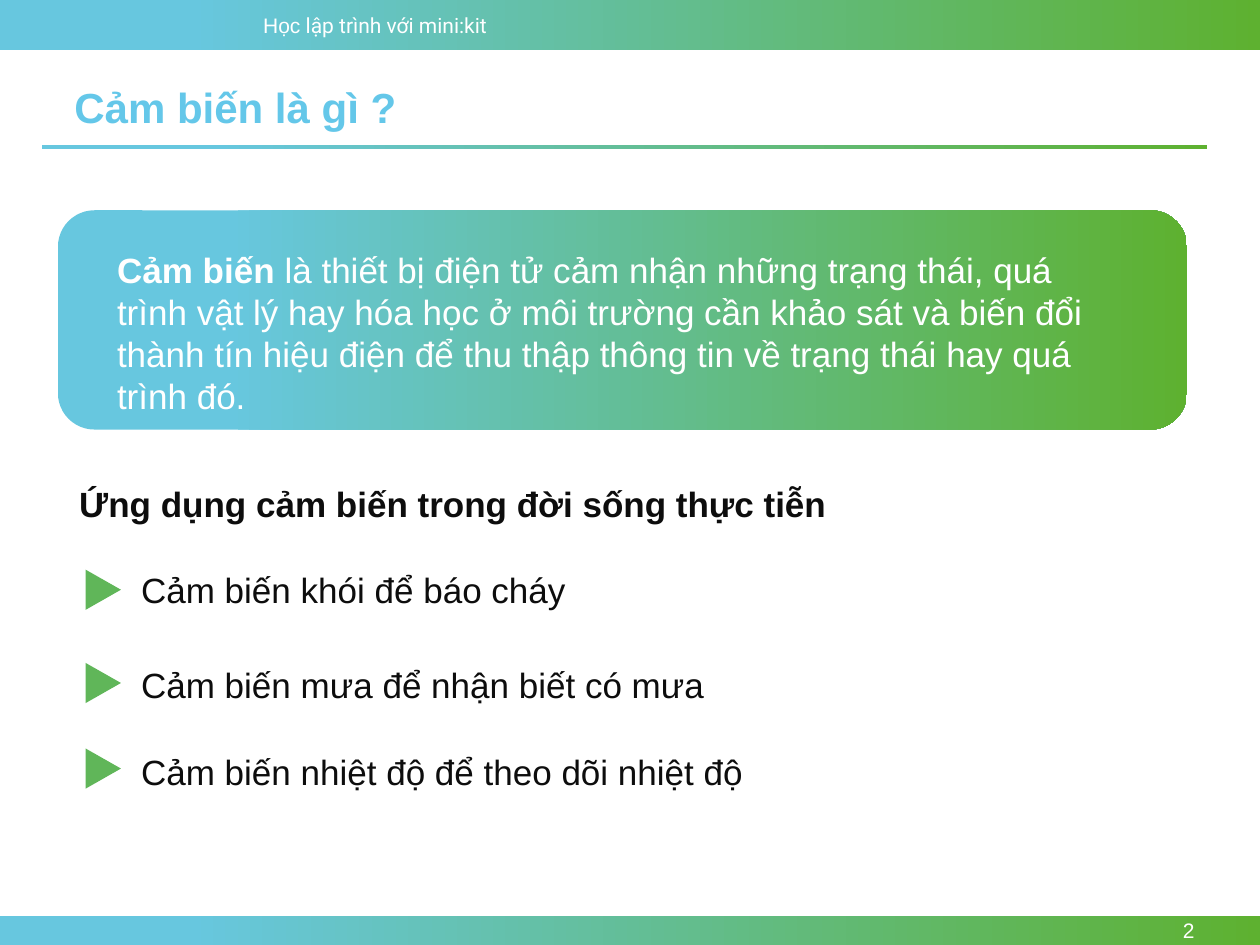
"""Build the sensor introduction slide."""
from typing import NamedTuple

from lxml import etree
from pptx import Presentation
from pptx.dml.color import RGBColor
from pptx.enum.shapes import MSO_SHAPE
from pptx.enum.text import MSO_ANCHOR, MSO_AUTO_SIZE, PP_ALIGN
from pptx.oxml.ns import qn
from pptx.util import Pt

RECT, ROUND, TRI = MSO_SHAPE.RECTANGLE, MSO_SHAPE.ROUNDED_RECTANGLE, MSO_SHAPE.ISOSCELES_TRIANGLE
TOP, MIDDLE = MSO_ANCHOR.TOP, MSO_ANCHOR.MIDDLE
LEFT, RIGHT = PP_ALIGN.LEFT, PP_ALIGN.RIGHT
FIXED = MSO_AUTO_SIZE.NONE
WHITE, BLACK, SKY, GREEN = "FFFFFF", "0D0D0D", "64C7E9", "60B659"
FADE = (("67C7DF", 0.15), ("5EB130", 1.0))
LINE = 23


class Box(NamedTuple):
    """Place and size in points."""
    x: float
    y: float
    w: float
    h: float


class Style(NamedTuple):
    """Look of a run."""
    size: float
    color: str
    bold: bool = False
    font: str = "Arial"


class Band(NamedTuple):
    """Shape filled with the fade."""
    kind: int
    box: Box


class Phrase(NamedTuple):
    """Piece of text with its style."""
    text: str
    style: Style


class Label(NamedTuple):
    """Text box holding one paragraph."""
    box: Box
    words: tuple
    align: int = LEFT
    anchor: int = TOP


class Item(NamedTuple):
    """List entry with the top of its marker."""
    text: str
    top: float


BANDS = (
    Band(RECT, Box(0, 0, 720, 28.8)),
    Band(RECT, Box(0, 523.4, 720, 16.6)),
    Band(ROUND, Box(33.1, 120.2, 645.1, 125.3)),
    Band(RECT, Box(23.8, 82.8, 666, 2.2)),
)
SMALL = Style(12, WHITE)
PLAIN = Style(20, WHITE)
ENTRY = Style(20, BLACK)
LABELS = (
    Label(Box(143.3, 3.6, 162, 21.6), (
        Phrase("Học", SMALL),
        Phrase(" lập trình với mini:kit", Style(12, WHITE, font="Roboto")))),
    Label(Box(623.5, 523.4, 66.2, 16.6), (Phrase("2", SMALL),), RIGHT, MIDDLE),
    Label(Box(59.8, 138.2, 593.3, 79.9), (
        Phrase("Cảm biến", Style(20, WHITE, True)),
        Phrase(" là thiết bị điện tử cảm nhận những trạng thái, quá trình vật lý "
               "hay hóa học ở môi trường cần khảo sát và biến đổi thành tín hiệu "
               "điện để thu thập thông tin về trạng thái hay quá trình đó.", PLAIN))),
    Label(Box(38.2, 272.2, 444.2, 40.3), (
        Phrase("Ứng dụng cảm biến trong đời sống thực tiễn",
               Style(20, BLACK, True)),)),
)
ITEMS = (
    Item("Cảm biến khói để báo cháy", 326.9),
    Item("Cảm biến mưa để nhận biết có mưa", 380.2),
    Item("Cảm biến nhiệt độ để theo dõi nhiệt độ", 429.1),
)


def paint(target, color: str) -> None:
    """Give a fill or font colour format its hex colour."""
    target.rgb = RGBColor.from_string(color)


def format_run(run, style: Style) -> None:
    """Apply a style to a run."""
    run.font.name = style.font
    run.font.size = Pt(style.size)
    run.font.bold = style.bold
    paint(run.font.color, style.color)


def place(shape, box: Box) -> None:
    """Move and size a shape."""
    shape.left, shape.top, shape.width, shape.height = map(Pt, box)


def add_form(slide, kind: int, box: Box):
    """Add a preset shape without line or shadow."""
    shape = slide.shapes.add_shape(kind, *map(Pt, box))
    shape.shadow.inherit = False
    shape.line.fill.background()
    return shape


def add_band(slide, band: Band) -> None:
    """Add a shape with the fade from left to right."""
    fill = add_form(slide, band.kind, band.box).fill
    fill.gradient()
    fill.gradient_angle = 0
    for stop, (color, spot) in zip(fill.gradient_stops, FADE):
        paint(stop.color, color)
        stop.position = spot


def add_label(slide, label: Label) -> None:
    """Add a wrapped text box."""
    frame = slide.shapes.add_textbox(*map(Pt, label.box)).text_frame
    frame.word_wrap = True
    frame.vertical_anchor = label.anchor
    para = frame.paragraphs[0]
    para.alignment = label.align
    for phrase in label.words:
        run = para.add_run()
        run.text = phrase.text
        format_run(run, phrase.style)


def set_title(slide, text: str) -> None:
    """Fill the title placeholder."""
    title = slide.shapes.title
    place(title, Box(35.3, 43.2, 464.4, 36))
    frame = title.text_frame
    frame.text = text
    frame.auto_size = FIXED
    frame.vertical_anchor = TOP
    para = frame.paragraphs[0]
    para.alignment = LEFT
    format_run(para.runs[0], Style(24, SKY, True))


def set_list(slide, items: tuple) -> None:
    """Fill the body placeholder and add a marker to each entry."""
    body = slide.placeholders[1]
    place(body, Box(73.4, 321.1, 444.2, 142.6))
    frame = body.text_frame
    frame.text = "\n".join(item.text for item in items)
    frame.auto_size = FIXED
    frame.vertical_anchor = TOP
    last = items[0].top - LINE
    for para, item in zip(frame.paragraphs, items):
        para.space_before = Pt(item.top - last - LINE)
        last = item.top
        props = para._p.get_or_add_pPr()
        props.set("marL", "0")
        props.set("indent", "0")
        etree.SubElement(props, qn("a:buNone"))
        format_run(para.runs[0], ENTRY)
        mark = add_form(slide, TRI, Box(47.5, item.top, 23, 20.2))
        mark.rotation = 90
        mark.fill.solid()
        paint(mark.fill.fore_color, GREEN)


def main() -> None:
    """Build and save the slide."""
    deck = Presentation()
    deck.slide_width, deck.slide_height = Pt(720), Pt(540)
    slide = deck.slides.add_slide(deck.slide_layouts[1])
    for band in BANDS:
        add_band(slide, band)
    for label in LABELS:
        add_label(slide, label)
    set_title(slide, "Cảm biến là gì ?")
    set_list(slide, ITEMS)
    deck.save("out.pptx")


main()
